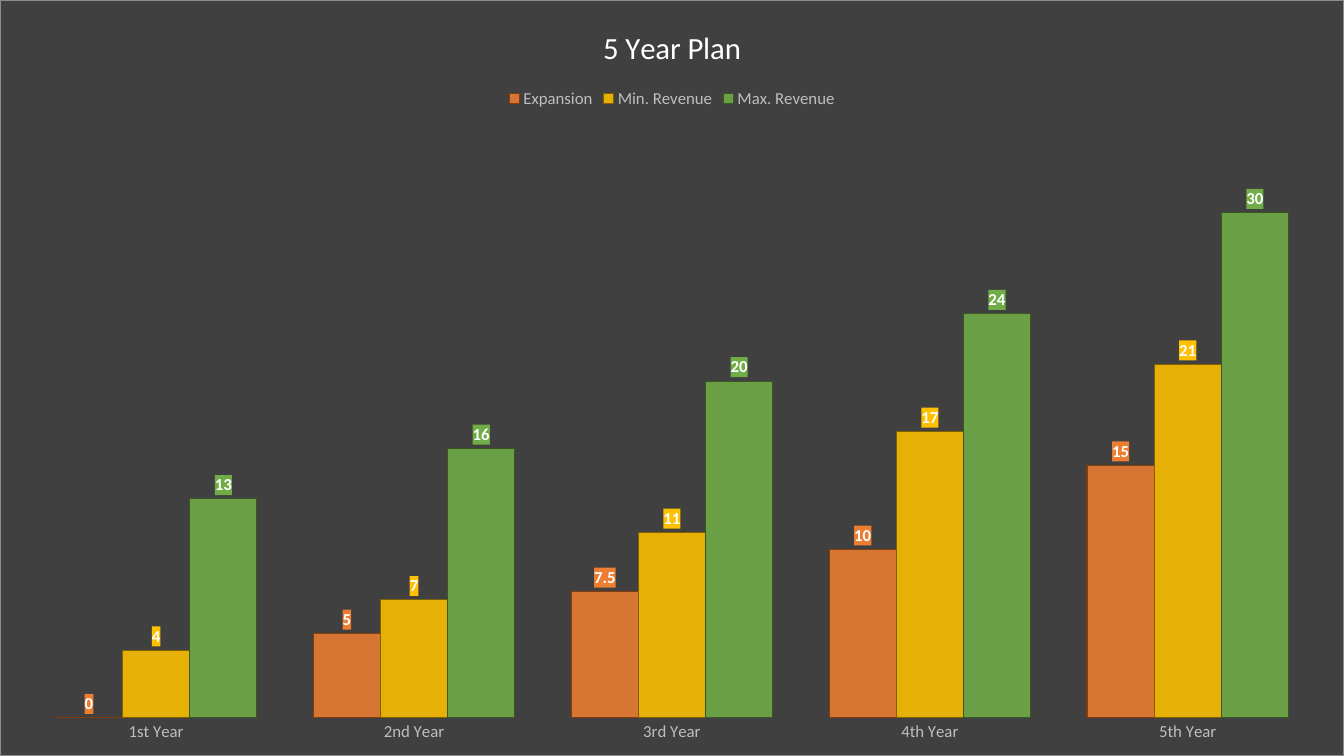
from lxml import etree
from pptx import Presentation
from pptx.chart.data import CategoryChartData
from pptx.dml.color import RGBColor
from pptx.enum.chart import XL_CHART_TYPE, XL_LABEL_POSITION, XL_LEGEND_POSITION, XL_TICK_MARK
from pptx.oxml import parse_xml
from pptx.oxml.ns import nsdecls, qn
from pptx.util import Inches, Pt

COLUMNS = XL_CHART_TYPE.COLUMN_CLUSTERED
LABEL_ABOVE = XL_LABEL_POSITION.OUTSIDE_END
LEGEND_TOP = XL_LEGEND_POSITION.TOP
NO_TICKS = XL_TICK_MARK.NONE

COLORS = {
    "background": "404040", "border": "8C8C8C", "white": "FFFFFF", "muted": "BFBFBF",
    "orange": "ED7D31", "gold": "FFC000", "green": "70AD47",
    "dark orange": "843C0B", "dark gold": "806000", "dark green": "385723",
}
YEARS = ["1st Year", "2nd Year", "3rd Year", "4th Year", "5th Year"]
PLAN = [
    ("Expansion", "orange", [0, 5, 7.5, 10, 15]),
    ("Min. Revenue", "gold", [4, 7, 11, 17, 21]),
    ("Max. Revenue", "green", [13, 16, 20, 24, 30]),
]
PLOT_AREA = {"x": 0.02, "y": 0.17, "w": 0.96, "h": 0.78}


def style_font(font, size, color, bold=False):
    font.name = "Calibri"
    font.size = Pt(size)
    font.bold = bold
    font.color.rgb = RGBColor.from_string(COLORS[color])


def area_format(fill, line=""):
    return parse_xml(
        f'<c:spPr {nsdecls("c", "a")}><a:solidFill><a:srgbClr val="{COLORS[fill]}"/>'
        f"</a:solidFill>{line}</c:spPr>"
    )


deck = Presentation()
deck.slide_width = Inches(13.33)
deck.slide_height = Inches(7.5)
page = deck.slides.add_slide(deck.slide_layouts[6])

data = CategoryChartData()
data.categories = YEARS
for name, color, values in PLAN:
    data.add_series(name, values)
chart = page.shapes.add_chart(
    COLUMNS, 0, 0, deck.slide_width, deck.slide_height, data
).chart
style_font(chart.font, 10, "white")
border = (
    f'<a:ln w="{Pt(0.5)}"><a:solidFill><a:srgbClr val="{COLORS["border"]}"/>'
    "</a:solidFill></a:ln>"
)
chart._chartSpace.chart.addnext(area_format("background", border))

chart.has_title = True
title = chart.chart_title.text_frame
title.text = "5 Year Plan"
style_font(title.paragraphs[0].runs[0].font, 22, "white")
chart.chart_title.include_in_layout = False

chart.has_legend = True
chart.legend.position = LEGEND_TOP
chart.legend.include_in_layout = False
style_font(chart.legend.font, 12, "muted")

years_axis = chart.category_axis
years_axis.major_tick_mark = NO_TICKS
years_axis.minor_tick_mark = NO_TICKS
years_axis.format.line.fill.background()
style_font(years_axis.tick_labels.font, 12, "muted")

value_axis = chart.value_axis
value_axis.visible = False
value_axis.has_major_gridlines = False
value_axis.minimum_scale = 0
value_axis.maximum_scale = 35

plot = chart.plots[0]
plot.gap_width = 84
plot.overlap = 0
plot.vary_by_categories = False

for series, (name, color, values) in zip(plot.series, PLAN):
    series.invert_if_negative = False
    fill = series.format.fill
    fill.solid()
    fill.fore_color.rgb = RGBColor.from_string(COLORS[color])
    bar_color = series._element.find(".//" + qn("a:srgbClr"))
    etree.SubElement(bar_color, qn("a:alpha"), val="88000")
    outline = series.format.line
    outline.width = Pt(0.75)
    outline.color.rgb = RGBColor.from_string(COLORS["dark " + color])

    labels = series.data_labels
    labels.show_value = True
    labels.position = LABEL_ABOVE
    style_font(labels.font, 12, "white", bold=True)
    labels._element.find(qn("c:txPr")).addprevious(area_format(color))

plot_area = chart._chartSpace.chart.plotArea
for old_layout in plot_area.findall(qn("c:layout")):
    plot_area.remove(old_layout)
layout = etree.Element(qn("c:layout"))
plot_area.insert(0, layout)
manual = etree.SubElement(layout, qn("c:manualLayout"))
etree.SubElement(manual, qn("c:layoutTarget"), val="inner")
for side in "xy":
    etree.SubElement(manual, qn(f"c:{side}Mode"), val="edge")
for side, share in PLOT_AREA.items():
    etree.SubElement(manual, qn(f"c:{side}"), val=str(share))

deck.save("out.pptx")
